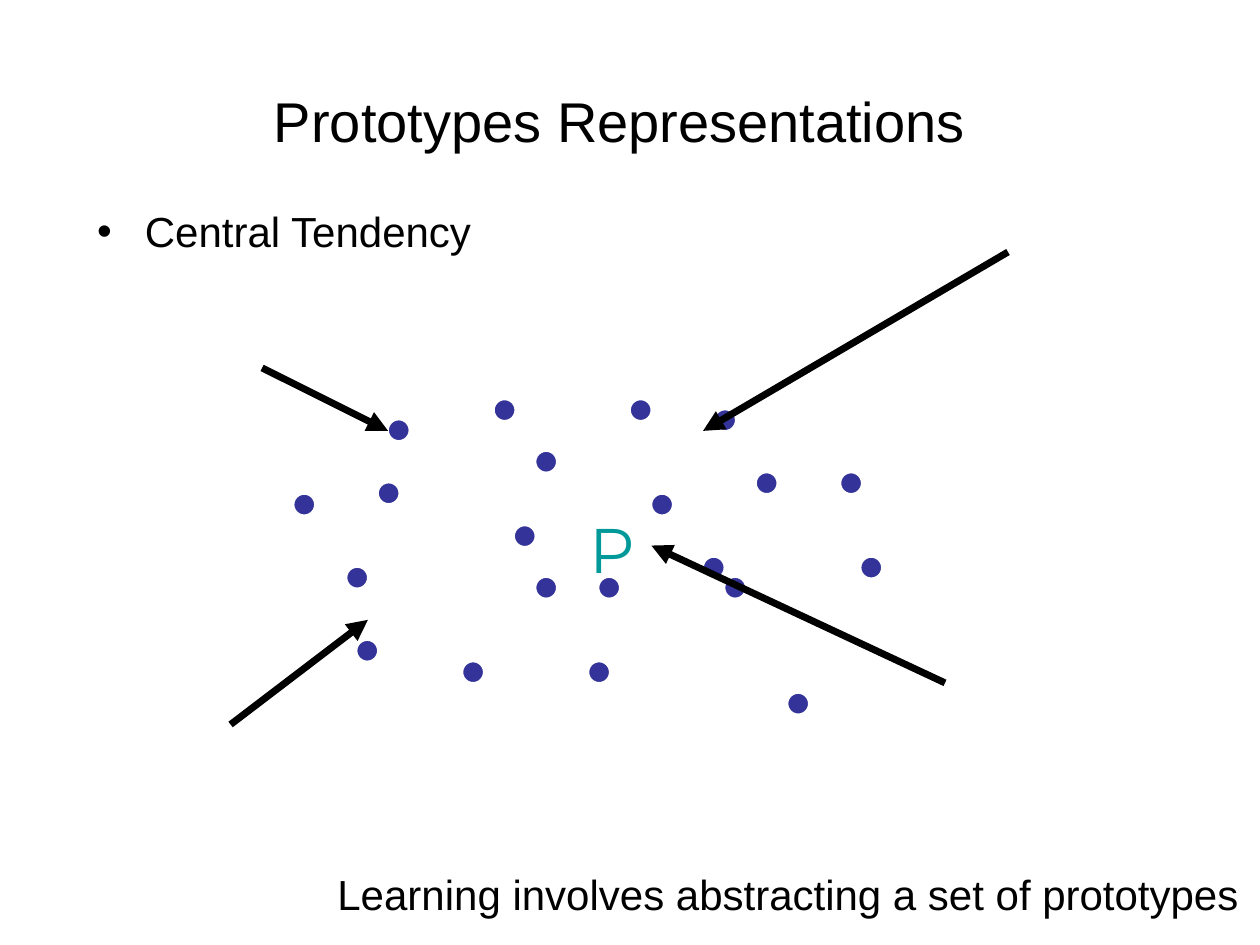
from lxml import etree
from pptx import Presentation
from pptx.dml.color import RGBColor
from pptx.enum.shapes import MSO_CONNECTOR, MSO_SHAPE
from pptx.enum.text import MSO_ANCHOR, MSO_AUTO_SIZE, PP_ALIGN
from pptx.oxml.ns import qn
from pptx.util import Inches, Pt

STRAIGHT = MSO_CONNECTOR.STRAIGHT
OVAL = MSO_SHAPE.OVAL
MIDDLE = MSO_ANCHOR.MIDDLE
TOP = MSO_ANCHOR.TOP
FIT_SHAPE = MSO_AUTO_SIZE.SHAPE_TO_FIT_TEXT
LEFT, CENTER = PP_ALIGN.LEFT, PP_ALIGN.CENTER

COLORS = {"text": "000000", "dot": "333399", "prototype": "009999", "outline": "FFFFFF"}
DOT_SIZE = 0.17
EXEMPLARS = [
    (5.58, 4.42), (6.83, 4.42), (4.25, 4.58), (4.08, 4.17), (4.75, 4.58),
    (5.17, 3.92), (6.25, 5.5), (3.08, 3.33), (3.92, 3.17), (2.75, 4.5),
    (4.25, 3.58), (5.67, 3.25), (5.75, 4.58), (3.67, 5.25), (6, 3.75),
    (4.67, 5.25), (5, 3.17), (6.67, 3.75), (2.83, 5.08), (2.33, 3.92),
    (3, 3.83),
]
ARROWS = [
    ((2.08, 2.92), (3.08, 3.42)),
    ((1.83, 5.75), (2.92, 4.92)),
    ((7.5, 5.42), (5.17, 4.33)),
    ((8, 2), (5.58, 3.42)),
]


def color(name):
    return RGBColor.from_string(COLORS[name])


def place(shape, left, top, width, height):
    shape.left, shape.top = Inches(left), Inches(top)
    shape.width, shape.height = Inches(width), Inches(height)


def write(shape, text, size, align=LEFT, font="Arial", color_name="text"):
    para = shape.text_frame.paragraphs[0]
    para.text = text
    para.alignment = align
    para.font.name = font
    para.font.size = Pt(size)
    para.font.color.rgb = color(color_name)
    return para


def add_title(page, text):
    title = page.shapes.title
    place(title, 0.67, 0.33, 8.5, 1.25)
    title.text_frame.vertical_anchor = MIDDLE
    write(title, text, 32, CENTER)


def add_bullet(page, text):
    body = page.placeholders[1]
    place(body, 0.67, 1.58, 8.5, 4.5)
    body.text_frame.vertical_anchor = TOP
    para = body.text_frame.paragraphs[0]
    properties = para._p.get_or_add_pPr()
    properties.set("marL", str(Inches(0.38)))
    properties.set("indent", str(Inches(-0.38)))
    etree.SubElement(properties, qn("a:buChar"), char="•")
    write(body, text, 24)
    para.space_before = Pt(0)


def add_dot(page, left, top):
    dot = page.shapes.add_shape(
        OVAL, Inches(left), Inches(top), Inches(DOT_SIZE), Inches(DOT_SIZE))
    dot.shadow.inherit = False
    dot.fill.solid()
    dot.fill.fore_color.rgb = color("dot")
    dot.line.color.rgb = color("outline")
    dot.line.width = Pt(1)


def add_arrow(group, start, end):
    points = [Inches(value) for value in (*start, *end)]
    arrow = group.shapes.add_connector(STRAIGHT, *points)
    arrow.line.color.rgb = color("text")
    arrow.line.width = Pt(4)
    etree.SubElement(arrow.line._get_or_add_ln(), qn("a:tailEnd"), type="triangle")
    etree.SubElement(arrow._element.spPr, qn("a:effectLst"))


def add_label(page, left, top, width, height):
    box = page.shapes.add_textbox(
        Inches(left), Inches(top), Inches(width), Inches(height))
    box.text_frame.word_wrap = False
    return box


def outline_text(para, color_name, width):
    properties = para.runs[0]._r.get_or_add_rPr()
    line = etree.Element(qn("a:ln"), w=str(Pt(width)))
    fill = etree.SubElement(line, qn("a:solidFill"))
    etree.SubElement(fill, qn("a:srgbClr"), val=COLORS[color_name])
    properties.insert(0, line)


def main():
    deck = Presentation()
    deck.slide_width, deck.slide_height = Inches(10), Inches(7.5)
    page = deck.slides.add_slide(deck.slide_layouts[1])

    add_title(page, "Prototypes Representations")
    add_bullet(page, "Central Tendency")
    for left, top in EXEMPLARS:
        add_dot(page, left, top)

    prototype = add_label(page, 4.58, 4, 0.33, 0.5)
    letter = write(prototype, "P", 36, CENTER, "Montserrat", "prototype")
    outline_text(letter, "outline", 0.75)

    arrows = page.shapes.add_group_shape()
    for start, end in ARROWS:
        add_arrow(arrows, start, end)

    conclusion = add_label(page, 2.58, 6.84, 7.36, 0.5)
    conclusion.text_frame.auto_size = FIT_SHAPE
    write(conclusion, "Learning involves abstracting a set of prototypes", 24)

    deck.save("out.pptx")


if __name__ == "__main__":
    main()
